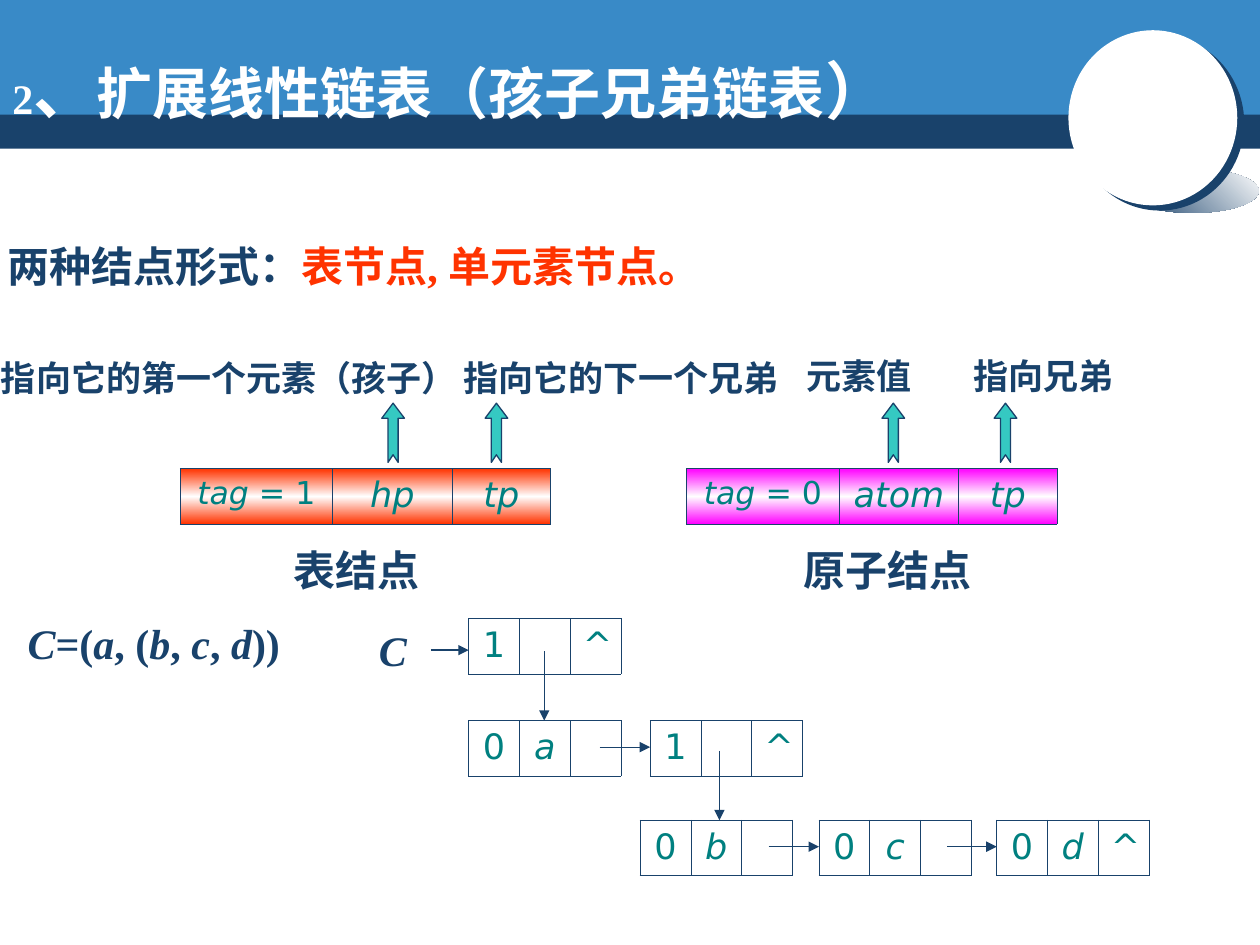
from lxml import etree
from pptx import Presentation
from pptx.dml.color import RGBColor
from pptx.enum.shapes import MSO_CONNECTOR, MSO_SHAPE
from pptx.enum.text import MSO_ANCHOR, PP_ALIGN
from pptx.oxml.ns import qn
from pptx.util import Inches, Pt

RECT, OVAL = MSO_SHAPE.RECTANGLE, MSO_SHAPE.OVAL
STRAIGHT = MSO_CONNECTOR.STRAIGHT
TOP, MIDDLE = MSO_ANCHOR.TOP, MSO_ANCHOR.MIDDLE
CENTER = PP_ALIGN.CENTER

NAVY = RGBColor(0x19, 0x42, 0x6B)
BLUE = RGBColor(0x39, 0x8A, 0xC7)
WHITE = RGBColor(0xFF, 0xFF, 0xFF)
RED = RGBColor(0xFF, 0x33, 0x00)
MAGENTA = RGBColor(0xFF, 0x00, 0xFF)
TEAL = RGBColor(0x00, 0x80, 0x80)
TURQUOISE = RGBColor(0x35, 0xC9, 0xC2)

SERIF, SANS, CJK = "Times New Roman", "DejaVu Sans", "Noto Sans CJK SC"
ROW_H, NODE_W = 0.44, 1.21


def sub(parent, tag, **attrs):
    return etree.SubElement(parent, qn(tag), attrs)


def add_run(p, text, size, color=NAVY, font=SERIF, bold=True, italic=False):
    r = p.add_run()
    r.text = text
    r.font.size, r.font.name = Pt(size), font
    r.font.bold, r.font.italic = bold, italic
    r.font.color.rgb = color
    sub(r.font._element, "a:ea", typeface=CJK)


def add_text(s, x, y, w, h, runs, anchor=TOP, spacing=None):
    """Each run is (text, size) plus optional color and font."""
    tf = s.shapes.add_textbox(Inches(x), Inches(y), Inches(w), Inches(h)).text_frame
    tf.word_wrap = True
    tf.vertical_anchor = anchor
    p = tf.paragraphs[0]
    if spacing:
        p.line_spacing = spacing
    for run in runs:
        add_run(p, *run)


def add_plain(s, kind, x, y, w, h, color):
    sp = s.shapes.add_shape(kind, Inches(x), Inches(y), Inches(w), Inches(h))
    sp.shadow.inherit = False
    sp.fill.solid()
    sp.fill.fore_color.rgb = color
    sp.line.fill.background()
    return sp


def style_cell(cell, color=None):
    """Thin borders, then no fill or a color-white-color vertical blend."""
    tcPr = cell._tc.get_or_add_tcPr()
    for side in ("a:lnL", "a:lnR", "a:lnT", "a:lnB"):
        ln = sub(tcPr, side, w=str(Pt(0.45)))
        sub(sub(ln, "a:solidFill"), "a:srgbClr", val=str(NAVY))
    if color is None:
        cell.fill.background()
        return
    grad = sub(tcPr, "a:gradFill", rotWithShape="1")
    stops = sub(grad, "a:gsLst")
    for pos, stop in ((0, color), (50000, WHITE), (100000, color)):
        sub(sub(stops, "a:gs", pos=str(pos)), "a:srgbClr", val=str(stop))
    sub(grad, "a:lin", ang="5400000", scaled="0")


def add_record(s, x, y, widths, fields, color=None):
    """One-row table; each field is a list of (text, size, italic)."""
    table = s.shapes.add_table(1, len(widths), Inches(x), Inches(y),
                               Inches(sum(widths)), Inches(ROW_H)).table
    table.first_row = table.horz_banding = False
    table.rows[0].height = Inches(ROW_H)
    for i, (width, runs) in enumerate(zip(widths, fields)):
        table.columns[i].width = Inches(width)
        cell = table.cell(0, i)
        style_cell(cell, color)
        p = cell.text_frame.paragraphs[0]
        p.alignment = CENTER
        for text, size, italic in runs:
            add_run(p, text, size, TEAL, SANS, False, italic)


def add_node(s, x, y, values):
    fields = [[(v, 20, v.isalpha())] if v else [] for v in values]
    add_record(s, x, y, [NODE_W / 3] * 3, fields)


def add_up_arrow(s, cx, top):
    """Block arrow with a notched tail."""
    outline = [(-0.04, 0.47), (-0.04, 0.12), (-0.09, 0.12), (0, 0), (0.09, 0.12),
               (0.04, 0.12), (0.04, 0.47), (0, 0.41)]
    pts = [(Inches(cx + dx), Inches(top + dy)) for dx, dy in outline]
    fb = s.shapes.build_freeform(*pts[0])
    fb.add_line_segments(pts[1:], close=True)
    sp = fb.convert_to_shape()
    sp.shadow.inherit = False
    sp.fill.solid()
    sp.fill.fore_color.rgb = TURQUOISE
    sp.line.color.rgb = NAVY
    sp.line.width = Pt(0.75)


def add_pointer(s, x1, y1, x2, y2):
    c = s.shapes.add_connector(STRAIGHT, Inches(x1), Inches(y1), Inches(x2), Inches(y2))
    c.line.color.rgb = NAVY
    c.line.width = Pt(0.75)
    sub(c.line._get_or_add_ln(), "a:tailEnd", type="triangle")
    sub(c._element.spPr, "a:effectLst")


def header(s, x, y, w):
    # Bands
    add_plain(s, RECT, x, y + 0.84, w, 0.34, NAVY)
    add_plain(s, RECT, x, y, w, 0.91, BLUE)
    # Ball and its cast shadow
    cast = add_plain(s, OVAL, x + w - 1.06, y + 1.34, 1.05, 0.35, NAVY)
    cast.fill.gradient()
    cast.fill.gradient_angle = 45
    for stop, color in zip(cast.fill.gradient_stops, (NAVY, WHITE)):
        stop.color.rgb = color
    ball = add_plain(s, OVAL, x + w - 1.52, y + 0.24, 1.34, 1.39, WHITE)
    effects = ball._element.spPr.find(qn("a:effectLst"))
    shadow = sub(effects, "a:outerShdw", blurRad="0", dist=str(Pt(5)),
                 dir=str(37 * 60000), algn="ctr", rotWithShape="0")
    sub(shadow, "a:srgbClr", val=str(NAVY))
    # Title
    add_text(s, x, y + 0.36, 7.4, 0.7, [
        ("2", 24, WHITE), ("、", 36, WHITE), ("扩展线性", 32, WHITE),
        ("链表（", 32, WHITE, CJK), ("孩子兄弟链表", 32, WHITE), ("）", 36, WHITE)])


def node_form(s, x, y, tag, fields, color, arrows, caption, caption_dx):
    """Record layout with up arrows above and a caption below."""
    cells = [[("tag ", 18, True), (f"= {tag}", 18, False)]]
    cells += [[(name, 20, True)] for name in fields]
    add_record(s, x, y, (1.21, 0.95, 0.78), cells, color)
    for dx in arrows:
        add_up_arrow(s, x + dx, y - 0.52)
    add_text(s, x + caption_dx, y + 0.55, 1.7, 0.5, [(caption, 24)])


def field_labels(s, y):
    for x, dy, w, text in ((-0.09, 0.02, 4.0, "指向它的第一个元素（孩子）"),
                           (3.58, 0.02, 2.87, "指向它的下一个兄弟"),
                           (6.3, 0, 1.17, "元素值"),
                           (7.63, 0, 1.45, "指向兄弟")):
        add_text(s, x, y + dy, w, 0.44, [(text, 20)], MIDDLE)


def linked_example(s, x, y):
    # Expression and list name
    p_runs = [(t, 24, NAVY, SERIF, True, t.isalpha())
              for t in ("C", "=(", "a", ", (", "b", ", ", "c", ", ", "d", "))")]
    add_text(s, x, y, 2.28, 0.5, p_runs)
    add_text(s, x + 2.79, y + 0.06, 0.5, 0.5, p_runs[:1])
    # Nodes, row by row
    for dx, dy, values in ((3.6, 0.06, ("1", "", "^")),
                           (3.6, 0.87, ("0", "a", "")),
                           (5.04, 0.87, ("1", "", "^")),
                           (4.96, 1.66, ("0", "b", "")),
                           (6.38, 1.66, ("0", "c", "")),
                           (7.79, 1.66, ("0", "d", "^"))):
        add_node(s, x + dx, y + dy, values)
    # Pointers
    for x1, y1, x2, y2 in ((3.3, 0.31, 3.6, 0.31), (4.2, 0.32, 4.2, 0.87),
                           (4.64, 1.08, 5.04, 1.08), (5.59, 1.11, 5.59, 1.66),
                           (5.98, 1.87, 6.38, 1.87), (7.4, 1.87, 7.79, 1.87)):
        add_pointer(s, x + x1, y + y1, x + x2, y + y2)


def main():
    prs = Presentation()
    prs.slide_width, prs.slide_height = Inches(10), Inches(7.5)
    s = prs.slides.add_slide(prs.slide_layouts[6])
    header(s, 0, 0, 10)
    add_text(s, -0.04, 1.78, 6.27, 0.58,
             [("两种结点形式：", 24), ("表节点, 单元素节点。", 24, RED)], MIDDLE, 1.2)
    field_labels(s, 2.76)
    node_form(s, 1.43, 3.72, 1, ("hp", "tp"), RED, (1.69, 2.51), "表结点", 0.8)
    node_form(s, 5.45, 3.72, 0, ("atom", "tp"), MAGENTA, (1.64, 2.53), "原子结点", 0.83)
    linked_example(s, 0.12, 4.85)
    prs.save("out.pptx")


if __name__ == "__main__":
    main()
